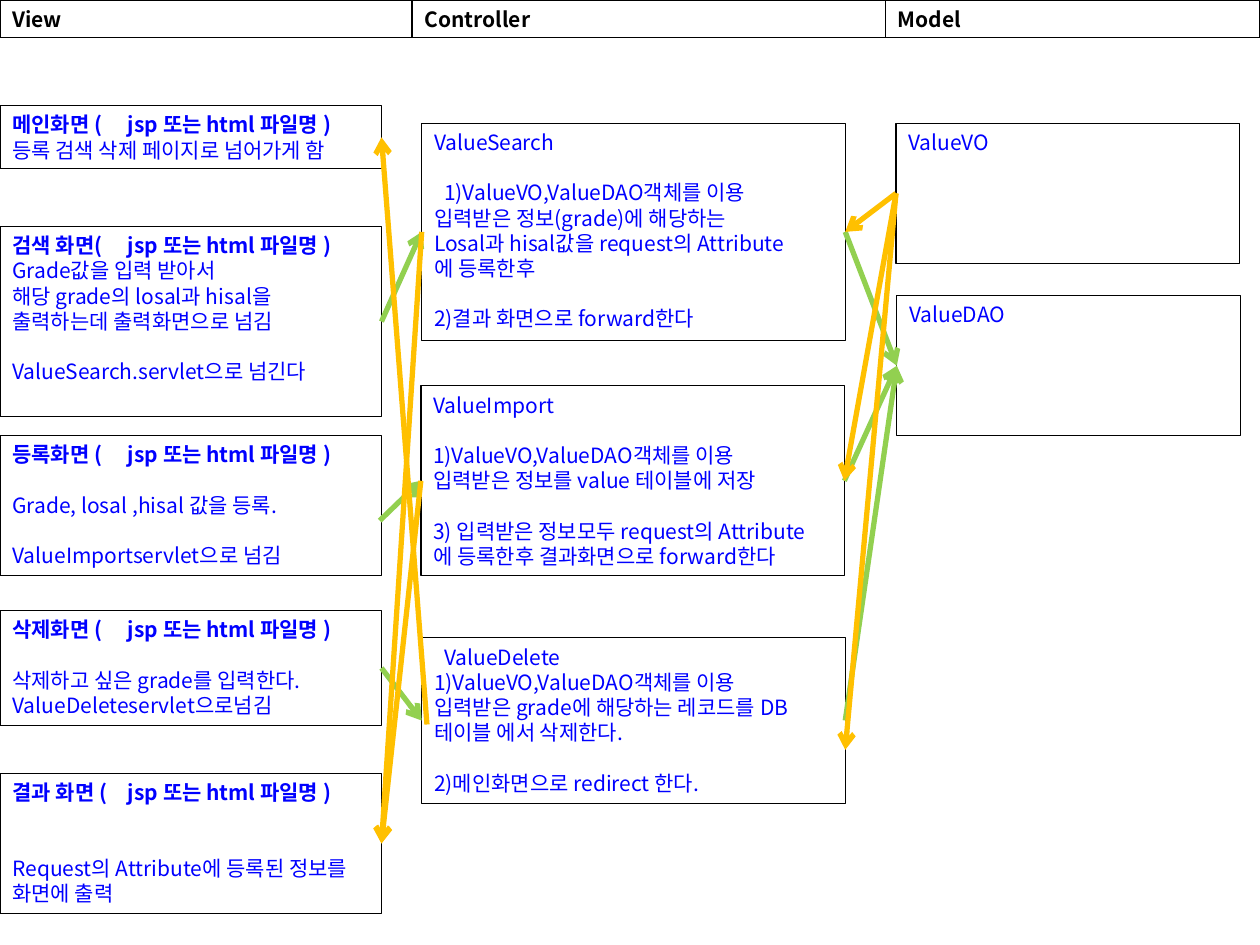
from lxml.etree import SubElement
from pptx import Presentation
from pptx.dml.color import RGBColor
from pptx.enum.shapes import MSO_CONNECTOR as Connector, MSO_SHAPE as Shape
from pptx.enum.text import MSO_ANCHOR as Anchor, PP_ALIGN as Align
from pptx.oxml.ns import qn
from pptx.util import Pt

COLORS = {"text": "0000FF", "header": "000000", "border": "000000", "request": "92D050", "response": "FFC000"}
FONT = "Noto Sans CJK KR"
LINE_HEIGHT = 14.4
LEFT, RIGHT = 1, 3

deck = Presentation()
deck.slide_width, deck.slide_height = Pt(720), Pt(540)
page = deck.slides.add_slide(deck.slide_layouts[6])


def add_box(left, top, width, height, lines, color="text", bold_title=False):
    box = page.shapes.add_shape(Shape.RECTANGLE, Pt(left), Pt(top), Pt(width), Pt(height))
    box.shadow.inherit = False
    box.fill.background()
    box.line.color.rgb = RGBColor.from_string(COLORS["border"])
    box.line.width = Pt(0.75)
    frame = box.text_frame
    frame.word_wrap = True
    frame.vertical_anchor = Anchor.TOP
    gap = 0
    for index, line in enumerate(lines):
        if not line:
            gap += LINE_HEIGHT
            continue
        para = frame.add_paragraph() if index else frame.paragraphs[0]
        para.text = line.lstrip(">")
        para.alignment = Align.LEFT
        para.line_spacing = Pt(LINE_HEIGHT)
        para.space_before = Pt(gap)
        gap = 0
        properties = para._p.get_or_add_pPr()
        if line.startswith(">"):
            properties.set("indent", str(Pt(5.7)))
        if "\t" in line:
            tabs = SubElement(properties, qn("a:tabLst"))
            SubElement(tabs, qn("a:tab"), pos=str(Pt(66)), algn="l")
        font = para.font
        font.name = FONT
        font.size = Pt(12)
        font.bold = bold_title and index == 0
        font.color.rgb = RGBColor.from_string(COLORS[color])
        SubElement(properties.find(qn("a:defRPr")), qn("a:ea"), typeface=FONT)
    return box


for left, width, title in [(0, 235.5, "View"), (235.5, 270.5, "Controller"), (506, 214, "Model")]:
    add_box(left, 0, width, 21.6, [title], "header", True)

views = {
    "main": (60.5, 36, "메인화면 (", ["등록 검색 삭제 페이지로 넘어가게 함"]),
    "search form": (129.5, 108.5, "검색 화면(", [
        "Grade값을 입력 받아서",
        "해당 grade의 losal과 hisal을 출력하는데 출력화면으로 넘김",
        "",
        "ValueSearch.servlet으로 넘긴다"]),
    "import form": (249, 80, "등록화면 (", [
        "", "Grade, losal ,hisal 값을 등록.", "", "ValueImportservlet으로 넘김"]),
    "delete form": (349, 65.5, "삭제화면 (", [
        "", "삭제하고 싶은 grade를 입력한다.", "ValueDeleteservlet으로넘김"]),
    "result": (442, 80, "결과 화면 (", [
        "", "", "Request의 Attribute에 등록된 정보를 화면에 출력"]),
}
boxes = {}
for name, (top, height, title, lines) in views.items():
    boxes[name] = add_box(0, top, 218, height, [title + "\tjsp 또는 html 파일명 )", *lines], bold_title=True)

controllers = {
    "search": (241, 70.5, 124, [
        "ValueSearch",
        "",
        ">1)ValueVO,ValueDAO객체를 이용",
        "입력받은 정보(grade)에 해당하는",
        "Losal과 hisal값을 request의 Attribute",
        "에 등록한후",
        "",
        "2)결과 화면으로 forward한다"]),
    "import": (240.5, 220.5, 108.5, [
        "ValueImport",
        "",
        "1)ValueVO,ValueDAO객체를 이용",
        "입력받은 정보를 value 테이블에 저장",
        "",
        "3) 입력받은 정보모두 request의 Attribute",
        "에 등록한후 결과화면으로 forward한다"]),
    "delete": (241, 364.5, 94.5, [
        ">ValueDelete",
        "1)ValueVO,ValueDAO객체를 이용",
        "입력받은 grade에 해당하는 레코드를 DB 테이블 에서 삭제한다.",
        "",
        "2)메인화면으로 redirect 한다."]),
}
for name, (left, top, height, lines) in controllers.items():
    boxes[name] = add_box(left, top, 242, height, lines)

for name, left, top in [("ValueVO", 512, 70.5), ("ValueDAO", 512.5, 169)]:
    boxes[name] = add_box(left, top, 196.5, 80, [name])

arrows = [
    ("request", ("search form", RIGHT), ("search", LEFT)),
    ("request", (217, 297.5), ("import", LEFT)),
    ("request", ("delete form", RIGHT), ("delete", LEFT)),
    ("request", ("search", RIGHT), ("ValueDAO", LEFT)),
    ("request", ("import", RIGHT), ("ValueDAO", LEFT)),
    ("request", ("delete", RIGHT), ("ValueDAO", LEFT)),
    ("response", ("ValueVO", LEFT), ("search", RIGHT)),
    ("response", ("ValueVO", LEFT), ("import", RIGHT)),
    ("response", ("ValueVO", LEFT), (483, 428.5)),
    ("response", ("search", LEFT), ("result", RIGHT)),
    ("response", ("import", LEFT), ("result", RIGHT)),
    ("response", (244, 414), ("main", RIGHT)),
]
for color, start, end in arrows:
    points = [(0, 0) if target[0] in boxes else target for target in (start, end)]
    arrow = page.shapes.add_connector(Connector.STRAIGHT, *[Pt(value) for point in points for value in point])
    for target, connect in [(start, arrow.begin_connect), (end, arrow.end_connect)]:
        if target[0] in boxes:
            connect(boxes[target[0]], target[1])
    arrow.line.color.rgb = RGBColor.from_string(COLORS[color])
    arrow.line.width = Pt(3)
    SubElement(arrow.line._get_or_add_ln(), qn("a:tailEnd"), type="arrow")
    SubElement(arrow._element.spPr, qn("a:effectLst"))

deck.save("out.pptx")
